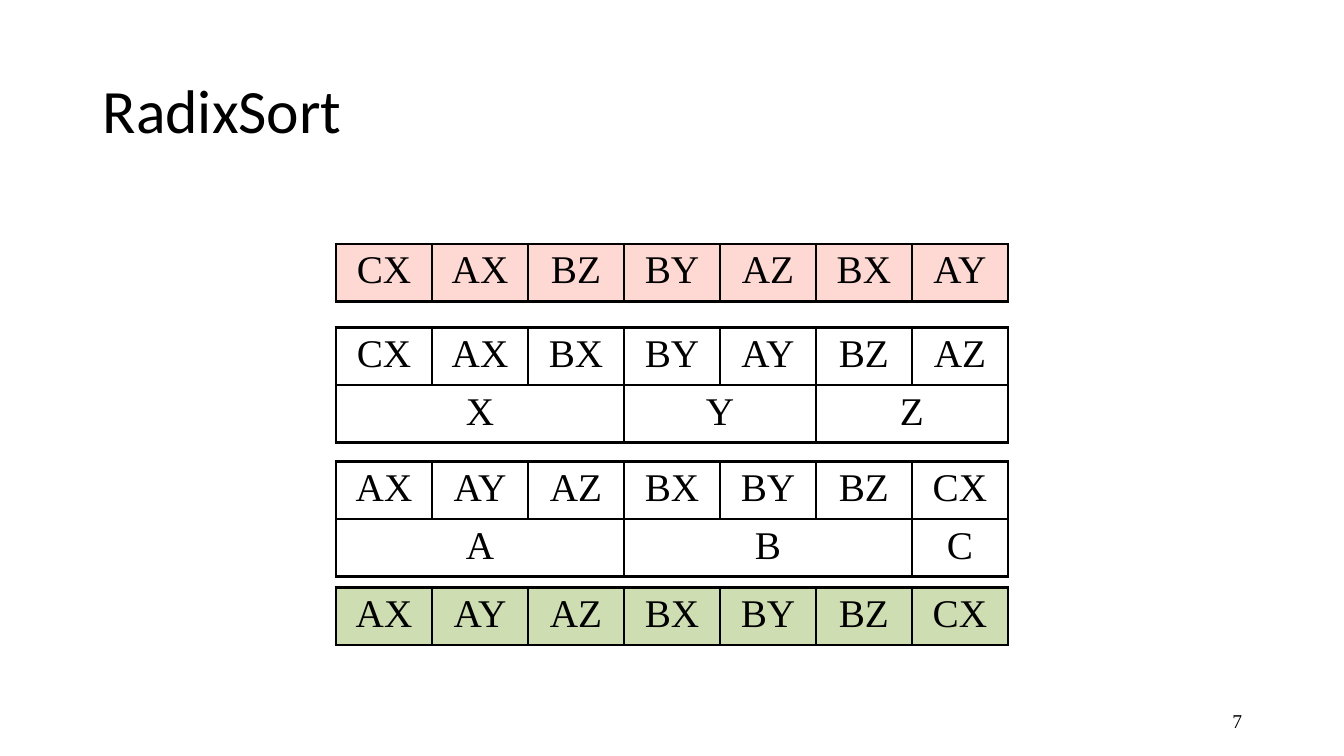
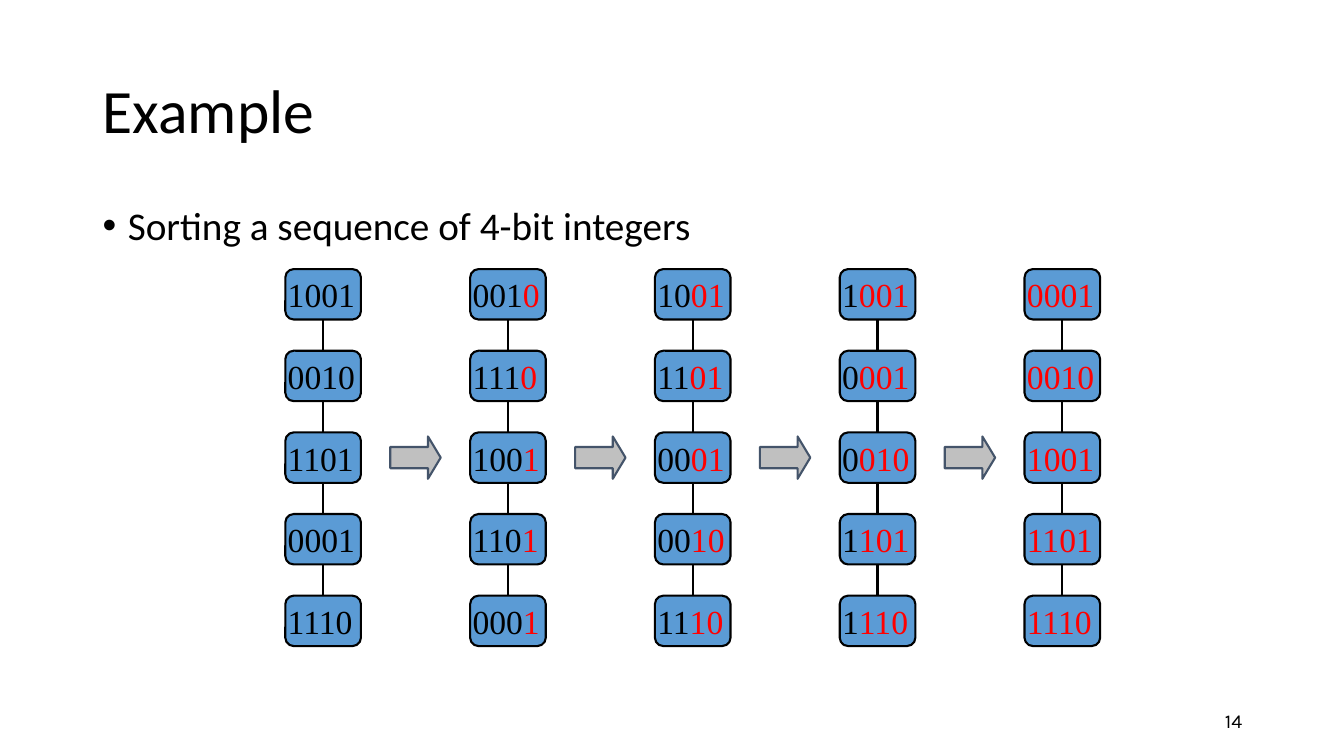
from dataclasses import dataclass
from itertools import pairwise

from lxml.etree import SubElement
from pptx import Presentation
from pptx.dml.color import RGBColor
from pptx.enum.shapes import MSO_CONNECTOR, MSO_SHAPE
from pptx.enum.text import MSO_ANCHOR, PP_ALIGN
from pptx.oxml.ns import qn
from pptx.util import Inches, Pt

# Content: table rows hold (text, columns covered)
SORT_TITLE, SORT_PAGE = "RadixSort", "7"
COLUMNS = 7


def singles(words):
    return [(word, 1) for word in words.split()]


SORT_STAGES = [  # top, fill, rows
    (2.42, "input", [singles("CX AX BZ BY AZ BX AY")]),
    (3.25, None, [singles("CX AX BX BY AY BZ AZ"),
                  [("X", 3), ("Y", 2), ("Z", 2)]]),
    (4.58, None, [singles("AX AY AZ BX BY BZ CX"),
                  [("A", 3), ("B", 3), ("C", 1)]]),
    (5.83, "output", [singles("AX AY AZ BX BY BZ CX")]),
]

EXAMPLE_TITLE, EXAMPLE_PAGE = "Example", "14"
EXAMPLE_POINT = "Sorting a sequence of 4-bit integers"
# Each pass has sorted one more bit, counted from the right
BIT_PASSES = [
    ["1001", "0010", "1101", "0001", "1110"],
    ["0010", "1110", "1001", "1101", "0001"],
    ["1001", "1101", "0001", "0010", "1110"],
    ["1001", "0001", "0010", "1101", "1110"],
    ["0001", "0010", "1001", "1101", "1110"],
]


@dataclass(frozen=True)
class Theme:
    ink: str = "000000"
    sorted_bits: str = "FF0000"
    node: str = "5B9BD5"
    arrow: str = "C0C0C0"
    arrow_edge: str = "44546A"
    input: str = "FED8D2"
    output: str = "CFDDB3"
    sans: str = "Calibri"
    serif: str = "Times New Roman"
    page_alt: str = "Karla"
    title_size: float = 44
    body_size: float = 28
    node_size: float = 24
    page_size: float = 14
    line: float = 1.5
    frame: float = 2.25
    rule: float = 1


THEME = Theme()
SLIDE_W, SLIDE_H = 13.33, 7.5
MARGIN, CONTENT_W = 0.92, 11.5

# Table grid
TABLE_LEFT, TABLE_W, ROW_H = SLIDE_W / 4, SLIDE_W / 2, 0.57

# Node grid
NODE_LEFT, NODE_TOP = 2.83, 2.67
NODE_W, NODE_H = 0.75, 0.5
PASS_STEP, NODE_STEP = SLIDE_W * 0.1375, 0.81
ARROW_W, ARROW_H = 0.5, 0.42


def box(*lengths):
    return [Inches(length) for length in lengths]


def rgb(code):
    return RGBColor.from_string(code)


def add_run(paragraph, text, font, size, color=THEME.ink):
    run = paragraph.add_run()
    run.text = text
    for key, value in {"name": font, "size": Pt(size)}.items():
        setattr(run.font, key, value)
    run.font.color.rgb = rgb(color)


def add_text(slide, at, text, font, size, anchor=MSO_ANCHOR.MIDDLE, **layout):
    frame = slide.shapes.add_textbox(*box(*at)).text_frame
    frame.word_wrap = True
    frame.vertical_anchor = anchor
    paragraph = frame.paragraphs[0]
    for key, value in layout.items():
        setattr(paragraph, key, value)
    add_run(paragraph, text, font, size)
    return paragraph


def add_slide(deck, title, page, page_font):
    slide = deck.slides.add_slide(deck.slide_layouts[6])
    add_text(slide, (MARGIN, 0.4, CONTENT_W, 1.45), title,
             THEME.sans, THEME.title_size, line_spacing=0.9)
    add_text(slide, (MARGIN + CONTENT_W - 3, 6.95, 3, 0.4), page,
             page_font, THEME.page_size, alignment=PP_ALIGN.RIGHT)
    return slide


def add_bullet(paragraph, indent):
    properties = paragraph._p.get_or_add_pPr()
    properties.set("marL", str(Inches(indent)))
    properties.set("indent", str(-Inches(indent)))
    SubElement(properties, qn("a:buFont"), typeface="Arial")
    SubElement(properties, qn("a:buChar"), char="•")


# Tables
def set_borders(cell, widths):
    properties = cell._tc.get_or_add_tcPr()
    sides = [side for side in ("L", "R", "T", "B") if side in widths]
    for place, side in enumerate(sides):
        line = SubElement(properties, qn(f"a:ln{side}"), w=str(Pt(widths[side])))
        fill = SubElement(line, qn("a:solidFill"))
        SubElement(fill, qn("a:srgbClr"), val=THEME.ink)
        properties.insert(place, line)


def edge(is_outer):
    return THEME.frame if is_outer else THEME.rule


def add_stage(slide, top, fill, rows):
    table = slide.shapes.add_table(
        len(rows), COLUMNS,
        *box(TABLE_LEFT, top, TABLE_W, ROW_H * len(rows))).table
    table.first_row = table.horz_banding = False
    style = table._tbl.tblPr.find(qn("a:tableStyleId"))
    style.text = "{2D5ABB26-0587-4C30-8999-92F81FD0307C}"
    for row, groups in enumerate(rows):
        start = 0
        for text, span in groups:
            end = start + span - 1
            for column in range(start, end + 1):
                cell = table.cell(row, column)
                if fill:
                    cell.fill.solid()
                    cell.fill.fore_color.rgb = rgb(getattr(THEME, fill))
                else:
                    cell.fill.background()
                widths = {"T": edge(row == 0), "B": edge(row == len(rows) - 1)}
                if column == start:
                    widths["L"] = edge(start == 0)
                if column == end or column == start:
                    widths["R"] = edge(end == COLUMNS - 1)
                set_borders(cell, widths)
            first = table.cell(row, start)
            if span > 1:
                first.merge(table.cell(row, end))
            paragraph = first.text_frame.paragraphs[0]
            paragraph.alignment = PP_ALIGN.CENTER
            add_run(paragraph, text, THEME.serif, THEME.body_size)
            start = end + 1


# Nodes, links and arrows
def add_figure(slide, kind, at, fill, line):
    figure = slide.shapes.add_shape(kind, *box(*at))
    figure.shadow.inherit = False
    figure.fill.solid()
    figure.fill.fore_color.rgb = rgb(fill)
    figure.line.color.rgb = rgb(line)
    figure.line.width = Pt(THEME.line)
    return figure


def add_node(slide, left, top, bits, sorted_count):
    node = add_figure(slide, MSO_SHAPE.ROUNDED_RECTANGLE,
                      (left, top, NODE_W, NODE_H), THEME.node, THEME.ink)
    frame = node.text_frame
    for key, value in {"margin_left": 0, "margin_right": 0, "word_wrap": False,
                       "vertical_anchor": MSO_ANCHOR.MIDDLE}.items():
        setattr(frame, key, value)
    paragraph = frame.paragraphs[0]
    paragraph.alignment = PP_ALIGN.LEFT
    split = len(bits) - sorted_count
    for part, color in ((bits[:split], THEME.ink),
                        (bits[split:], THEME.sorted_bits)):
        if part:
            add_run(paragraph, part, THEME.serif, THEME.node_size, color)
    return node


def link(slide, upper, lower):
    connector = slide.shapes.add_connector(MSO_CONNECTOR.STRAIGHT, 0, 0, 0, 0)
    connector.begin_connect(upper, 2)
    connector.end_connect(lower, 0)
    connector.line.color.rgb = rgb(THEME.ink)
    connector.line.width = Pt(THEME.line)
    SubElement(connector._element.spPr, qn("a:effectLst"))


def add_arrow(slide, left, top):
    arrow = add_figure(slide, MSO_SHAPE.RIGHT_ARROW,
                       (left, top, ARROW_W, ARROW_H),
                       THEME.arrow, THEME.arrow_edge)
    arrow.adjustments[0], arrow.adjustments[1] = 0.5, 0.3


def build_sort(deck):
    slide = add_slide(deck, SORT_TITLE, SORT_PAGE, THEME.serif)
    for stage in SORT_STAGES:
        add_stage(slide, *stage)


def build_example(deck):
    slide = add_slide(deck, EXAMPLE_TITLE, EXAMPLE_PAGE, THEME.page_alt)
    point = add_text(slide, (MARGIN, 2, CONTENT_W, 4.76), EXAMPLE_POINT,
                     THEME.sans, THEME.body_size, MSO_ANCHOR.TOP,
                     line_spacing=0.9, space_before=Pt(10))
    add_bullet(point, 0.25)
    for done, numbers in enumerate(BIT_PASSES):
        left = NODE_LEFT + done * PASS_STEP
        nodes = [add_node(slide, left, NODE_TOP + row * NODE_STEP, bits, done)
                 for row, bits in enumerate(numbers)]
        for upper, lower in pairwise(nodes):
            link(slide, upper, lower)
        if done:  # centred in the gap before this pass
            gap = PASS_STEP - NODE_W
            middle = NODE_TOP + (len(numbers) - 1) / 2 * NODE_STEP + NODE_H / 2
            add_arrow(slide, left - (gap + ARROW_W) / 2, middle - ARROW_H / 2)


def main():
    deck = Presentation()
    deck.slide_width, deck.slide_height = box(SLIDE_W, SLIDE_H)
    build_sort(deck)
    build_example(deck)
    deck.save("out.pptx")


if __name__ == "__main__":
    main()
